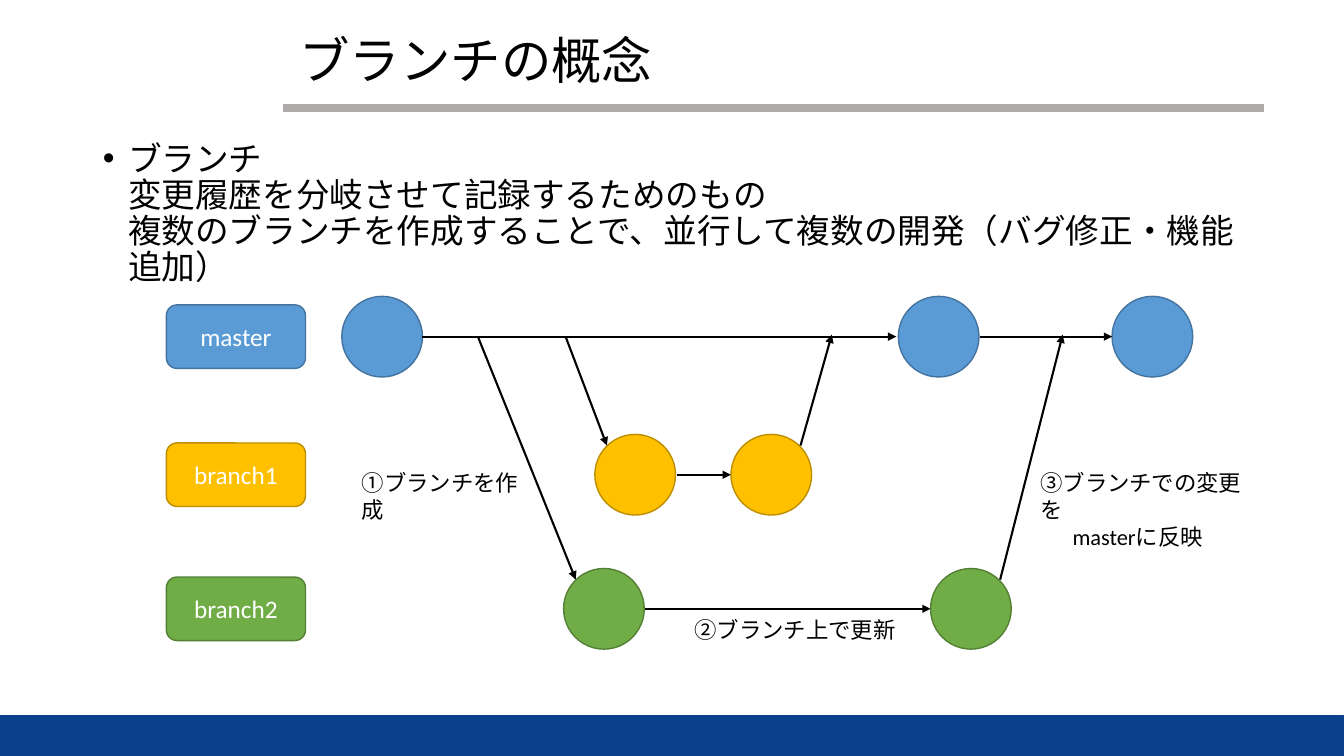
from dataclasses import dataclass

from lxml.etree import SubElement
from pptx import Presentation
from pptx.dml.color import RGBColor
from pptx.enum.shapes import MSO_CONNECTOR, MSO_SHAPE
from pptx.enum.text import MSO_ANCHOR, MSO_AUTO_SIZE, PP_ALIGN
from pptx.oxml.ns import qn
from pptx.shapes.autoshape import Shape
from pptx.shapes.connector import Connector
from pptx.slide import Slide
from pptx.util import Inches, Pt

FONT = "Calibri"
BLACK = "000000"
DIAMETER = 0.8
TAG_LEFT, TAG_WIDTH, TAG_HEIGHT = 1.65, 1.38, 0.63


@dataclass
class Branch:
    name: str
    center_y: float
    fill: str
    line: str
    commit_lefts: tuple[float, ...]


@dataclass
class Arrow:
    start: tuple[float, float]
    end: tuple[float, float]


@dataclass
class Label:
    left: float
    top: float
    width: float
    height: float
    lines: tuple[str, ...]


BRANCHES = [
    Branch("master", 3.34, "5B9BD5", "43739E", (3.39, 8.91, 11.03)),
    Branch("branch1", 4.71, "FFC000", "BD8E00", (5.9, 7.25)),
    Branch("branch2", 6.04, "70AD47", "538035", (5.59, 9.23)),
]

ARROWS = [
    # Along each branch
    Arrow((4.19, 3.34), (8.89, 3.34)),
    Arrow((9.72, 3.34), (11.03, 3.34)),
    Arrow((6.71, 4.71), (7.25, 4.71)),
    Arrow((6.4, 6.04), (9.23, 6.04)),
    # Branching off master
    Arrow((5.61, 3.34), (6.02, 4.42)),
    Arrow((4.74, 3.34), (5.71, 5.75)),
    # Merging into master
    Arrow((7.94, 4.42), (8.25, 3.32)),
    Arrow((9.92, 5.75), (10.54, 3.32)),
]

LABELS = [
    Label(3.49, 4.61, 1.87, 0.37, ("①ブランチを作成",)),
    Label(6.79, 6.06, 2.22, 0.37, ("②ブランチ上で更新",)),
    Label(10.22, 4.61, 2.22, 0.64, ("③ブランチでの変更を", "masterに反映")),
]


def color(value: str) -> RGBColor:
    return RGBColor.from_string(value)


def format_text(shape: Shape, size: float, font_color: str) -> None:
    for para in shape.text_frame.paragraphs:
        for span in para.runs:
            span.font.name = FONT
            span.font.size = Pt(size)
            span.font.color.rgb = color(font_color)


def place(shape: Shape, left: float, top: float, width: float, height: float) -> None:
    shape.left, shape.top = Inches(left), Inches(top)
    shape.width, shape.height = Inches(width), Inches(height)


def add_box(page: Slide, kind: MSO_SHAPE, left: float, top: float, width: float,
            height: float, fill: str, line: str, line_width: float = 1) -> Shape:
    box = page.shapes.add_shape(kind, Inches(left), Inches(top), Inches(width), Inches(height))
    box.shadow.inherit = False
    box.fill.solid()
    box.fill.fore_color.rgb = color(fill)
    box.line.color.rgb = color(line)
    box.line.width = Pt(line_width)
    return box


def add_line(page: Slide, start: tuple[float, float], end: tuple[float, float],
             line_color: str, width: float) -> Connector:
    line = page.shapes.add_connector(
        MSO_CONNECTOR.STRAIGHT, *(Inches(value) for value in start + end))
    line.line.color.rgb = color(line_color)
    line.line.width = Pt(width)
    SubElement(line._element.spPr, qn("a:effectLst"))
    return line


def add_arrow(page: Slide, arrow: Arrow) -> None:
    line = add_line(page, arrow.start, arrow.end, BLACK, 1.5)
    SubElement(line.line._get_or_add_ln(), qn("a:tailEnd"), type="triangle")


def add_branch(page: Slide, branch: Branch) -> None:
    tag = add_box(page, MSO_SHAPE.ROUNDED_RECTANGLE, TAG_LEFT,
                  branch.center_y - TAG_HEIGHT / 2, TAG_WIDTH, TAG_HEIGHT,
                  branch.fill, branch.line)
    tag.text_frame.text = branch.name
    tag.text_frame.vertical_anchor = MSO_ANCHOR.MIDDLE
    tag.text_frame.paragraphs[0].alignment = PP_ALIGN.CENTER
    format_text(tag, 18, "FFFFFF")
    for left in branch.commit_lefts:
        add_box(page, MSO_SHAPE.OVAL, left, branch.center_y - DIAMETER / 2,
                DIAMETER, DIAMETER, branch.fill, branch.line)


def add_label(page: Slide, label: Label) -> None:
    box = page.shapes.add_textbox(Inches(label.left), Inches(label.top),
                                  Inches(label.width), Inches(label.height))
    box.text_frame.word_wrap = True
    box.text_frame.text = "\n".join(label.lines)
    for para in box.text_frame.paragraphs[1:]:
        para._p.get_or_add_pPr().set("marL", str(Inches(0.32)))
    format_text(box, 16, BLACK)


def fill_title(title: Shape) -> None:
    place(title, 2.87, 0.18, 9.61, 0.89)
    frame = title.text_frame
    frame.text = "ブランチの概念"
    frame.auto_size = MSO_AUTO_SIZE.NONE
    frame.vertical_anchor = MSO_ANCHOR.MIDDLE
    frame.paragraphs[0].alignment = PP_ALIGN.LEFT
    frame.paragraphs[0].line_spacing = 0.9
    format_text(title, 36, BLACK)


def fill_body(body: Shape) -> None:
    place(body, 0.92, 1.36, 11.5, 5.39)
    body.text_frame.auto_size = MSO_AUTO_SIZE.NONE
    para = body.text_frame.paragraphs[0]
    para.text = "\v".join((
        "ブランチ",
        "変更履歴を分岐させて記録するためのもの",
        "複数のブランチを作成することで、並行して複数の開発（バグ修正・機能追加）",
    ))
    para.line_spacing = 0.9
    para.space_before = Pt(10)
    properties = para._p.get_or_add_pPr()
    properties.set("marL", str(Inches(0.25)))
    properties.set("indent", str(Inches(-0.25)))
    SubElement(properties, qn("a:buFont"), typeface="Arial")
    SubElement(properties, qn("a:buChar"), char="•")
    format_text(body, 24, BLACK)


def main() -> None:
    deck = Presentation()
    deck.slide_width, deck.slide_height = Inches(13.33), Inches(7.5)
    page = deck.slides.add_slide(deck.slide_layouts[1])

    # Title, rule, footer band and description
    fill_title(page.shapes.title)
    fill_body(page.placeholders[1])
    add_line(page, (2.81, 1.07), (12.54, 1.07), "AFABAB", 6)
    add_box(page, MSO_SHAPE.RECTANGLE, 0, 7.1, 13.33, 0.4, "0B408D", "0B408D", 0.75)

    # Branch diagram
    for branch in BRANCHES:
        add_branch(page, branch)
    for arrow in ARROWS:
        add_arrow(page, arrow)
    for label in LABELS:
        add_label(page, label)

    deck.save("out.pptx")


if __name__ == "__main__":
    main()
